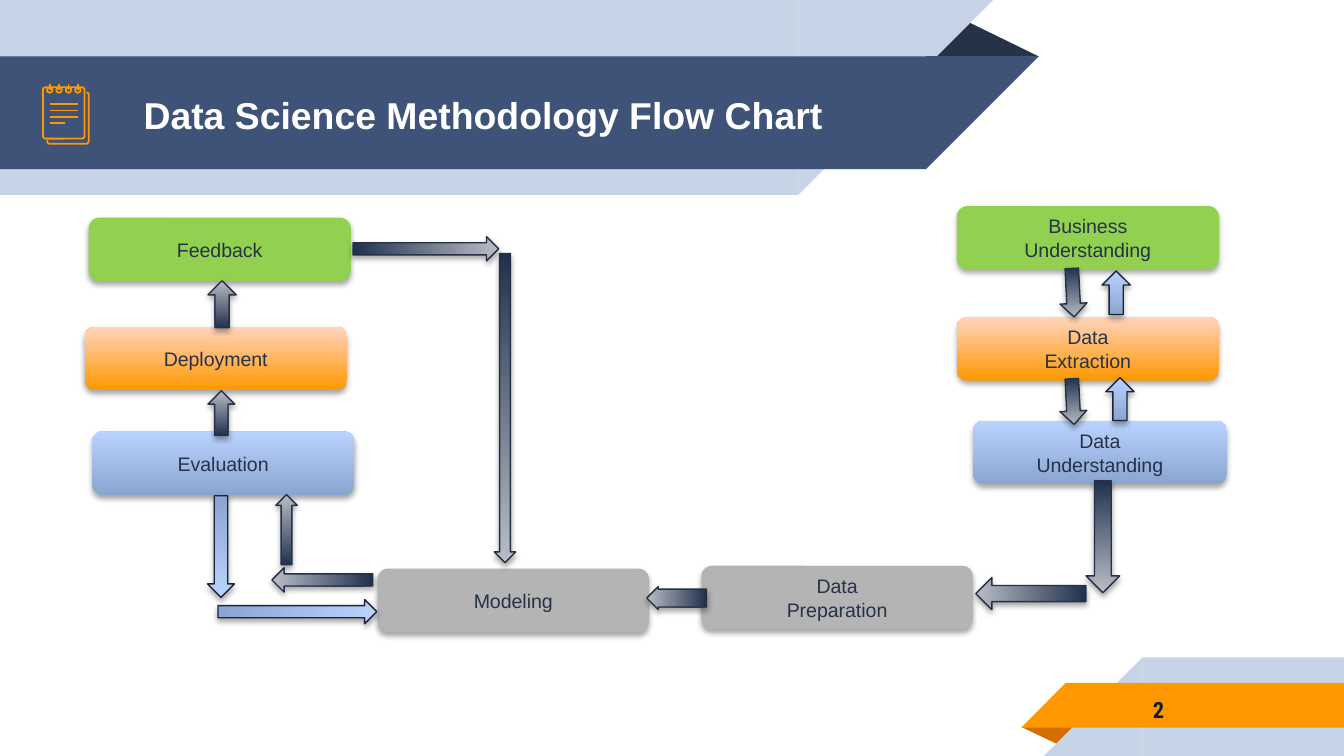
from lxml import etree
from pptx import Presentation
from pptx.dml.color import RGBColor
from pptx.enum import shapes as kinds, text as align
from pptx.oxml.ns import qn
from pptx.util import Pt

NAVY = RGBColor(0x26, 0x32, 0x48)
BAND = RGBColor(0x3F, 0x53, 0x78)
PALE = RGBColor(0xC7, 0xD3, 0xE6)
ORANGE = RGBColor(0xFF, 0x98, 0x00)
RUST = RGBColor(0xD2, 0x6F, 0x00)
PEACH = RGBColor(0xFF, 0xD4, 0xBD)
GREEN = RGBColor(0x92, 0xD0, 0x50)
GRAY = RGBColor(0xB4, 0xB4, 0xB4)
BLUE = RGBColor(0x8A, 0xA6, 0xD0)
SKY = RGBColor(0xB9, 0xD3, 0xFE)
DARK = RGBColor(0x21, 0x31, 0x4D)
SILVER = RGBColor(0xB9, 0xBD, 0xC5)
DARK_EDGE = RGBColor(0x24, 0x31, 0x47)
BLUE_EDGE = RGBColor(0x1D, 0x25, 0x36)
INK = RGBColor(0x13, 0x19, 0x24)
WHITE = RGBColor(0xFF, 0xFF, 0xFF)

SHAPE = kinds.MSO_SHAPE
TITLE = "Data Science Methodology Flow Chart"
PAGE_NUMBER = "2"

BANNER = [
    (SHAPE.ISOSCELES_TRIANGLE, 495.4, 10.1, 61.2, 20.2, NAVY, None),
    (SHAPE.RECTANGLE, 0, 0, 427.7, 104.4, PALE, None),
    (SHAPE.RIGHT_TRIANGLE, 427.7, 0, 104.4, 104.4, PALE, "flipV"),
    (SHAPE.RECTANGLE, 0, 30.2, 496.1, 60.5, BAND, None),
    (SHAPE.RIGHT_TRIANGLE, 496.1, 30.2, 60.5, 60.5, BAND, "flipV"),
    (SHAPE.ISOSCELES_TRIANGLE, 547.2, 389.5, 31, 10, RUST, "rot"),
    (SHAPE.RECTANGLE, 612, 352.2, 108, 52.8, PALE, None),
    (SHAPE.RIGHT_TRIANGLE, 559.2, 352.2, 52.8, 52.8, PALE, "flipH"),
    (SHAPE.RECTANGLE, 571, 365.8, 149, 24, ORANGE, None),
    (SHAPE.RIGHT_TRIANGLE, 547.2, 365.8, 23.8, 24, ORANGE, "flipH"),
]

STEP_HEIGHT = 34
STEPS = [
    (["Feedback"], 47.5, 116.6, 140.4, GREEN),
    (["Deployment"], 45.4, 175, 140.4, (ORANGE, PEACH)),
    (["Evaluation"], 49.4, 231.2, 140.4, (BLUE, SKY)),
    (["Business", "Understanding"], 512.6, 110.4, 140.4, GREEN),
    (["Data", "Extraction"], 512.6, 169.9, 140.4, (ORANGE, PEACH)),
    (["Data", "Understanding"], 521.3, 225.4, 136, (BLUE, SKY)),
    (["Modeling"], 202.3, 304.6, 145.4, GRAY),
    (["Data", "Preparation"], 375.8, 303.1, 145.4, GRAY),
]

FORWARD = ((DARK, SILVER), DARK_EDGE)
RETURN = ((BLUE, SKY), BLUE_EDGE)
ARROWS = [
    (111.4, 150.4, 15.1, 25.2, 0, FORWARD),
    (111.4, 209.3, 14.4, 24, 0, FORWARD),
    (264.8, 135.8, 11.5, 165.6, 180, FORWARD),
    (221.6, 94.3, 13, 78, 90, FORWARD),
    (590.4, 145.2, 15.1, 23.3, 0, RETURN),
    (567.6, 202.9, 14.4, 24.5, 177.2, FORWARD),
    (111.2, 265.6, 14.4, 54.4, 180, RETURN),
    (152.8, 285.2, 13, 85, 90, RETURN),
    (147.8, 265, 11.5, 37.6, 0, FORWARD),
    (166.2, 283.7, 13, 54, 270, FORWARD),
    (543.6, 288.5, 17.3, 59, 270, FORWARD),
    (581.8, 257.6, 18, 59.9, 180, FORWARD),
    (592.4, 202.3, 15.1, 23, 0, RETURN),
    (567.6, 143.8, 14.4, 26, 177.2, FORWARD),
    (356.4, 304.4, 12.2, 32, 270, FORWARD),
]
WIDE_SHAFT = len(ARROWS) - 1

BACK_PAGE = [(25.2, 75.2), (25.6, 76.6), (26.6, 77), (46.4, 77),
             (47.4, 76.4), (47.6, 75.4), (47.6, 50.6), (47.2, 49.8), (46.4, 49.6)]
RING_LEFT, RING_STEP, RING_SIZE = 25.2, 5.04, 2.9
NOTE_LEFT, NOTE_TOP, NOTE_STEP = 26.6, 55.9, 3.35
NOTE_ENDS = [41.8, 41.8, 41.8, 34.6]


def paint(shape, colour):
    if isinstance(colour, RGBColor):
        shape.fill.solid()
        shape.fill.fore_color.rgb = colour
    else:
        shape.fill.gradient()
        shape.fill.gradient_angle = 90
        for stop, shade in zip(shape.fill.gradient_stops, colour):
            stop.color.rgb = shade


def add_shape(slide, kind, left, top, width, height, colour=None):
    shape = slide.shapes.add_shape(kind, Pt(left), Pt(top), Pt(width), Pt(height))
    shape.shadow.inherit = False
    shape.line.fill.background()
    if colour is None:
        shape.fill.background()
    else:
        paint(shape, colour)
    return shape


def cast_shadow(shape):
    effects = shape._element.spPr.find(qn("a:effectLst"))
    shadow = etree.SubElement(effects, qn("a:outerShdw"), blurRad=str(int(Pt(3.1))),
                              dist=str(int(Pt(1.8))), dir="5400000", rotWithShape="0")
    black = etree.SubElement(shadow, qn("a:srgbClr"), val="000000")
    etree.SubElement(black, qn("a:alpha"), val="35000")


def outline(shape, colour=ORANGE, width=0.96):
    shape.line.color.rgb = colour
    shape.line.width = Pt(width)


def style(para, name, size, colour, bold=False):
    for span in para.runs:
        span.font.name = name
        span.font.size = Pt(size)
        span.font.bold = bold
        span.font.color.rgb = colour


def add_stroke(slide, *ends):
    stroke = slide.shapes.add_connector(kinds.MSO_CONNECTOR.STRAIGHT, *map(Pt, ends))
    outline(stroke)
    etree.SubElement(stroke._element.spPr, qn("a:effectLst"))


def add_notepad(slide):
    points = [(Pt(x), Pt(y)) for x, y in BACK_PAGE]
    builder = slide.shapes.build_freeform(*points[0])
    builder.add_line_segments(points[1:], close=False)
    back = builder.convert_to_shape()
    back.shadow.inherit = False
    back.fill.background()
    outline(back)
    front = add_shape(slide, SHAPE.ROUNDED_RECTANGLE, 23, 46.8, 22.3, 27.5)
    front.adjustments[0] = 0.06
    outline(front)
    for index, end in enumerate(NOTE_ENDS):
        left = RING_LEFT + index * RING_STEP
        outline(add_shape(slide, SHAPE.OVAL, left, 46.8, RING_SIZE, RING_SIZE))
        middle = left + RING_SIZE / 2
        add_stroke(slide, middle, 45.2, middle, 48.2)
        height = NOTE_TOP + index * NOTE_STEP
        add_stroke(slide, NOTE_LEFT, height, end, height)


def main():
    deck = Presentation()
    deck.slide_width, deck.slide_height = Pt(720), Pt(405)
    page = deck.slides.add_slide(deck.slide_layouts[5])
    title = page.shapes.title

    for kind, left, top, width, height, colour, turn in BANNER:
        part = add_shape(page, kind, left, top, width, height, colour)
        if kind == SHAPE.ISOSCELES_TRIANGLE:
            part.adjustments[0] = 0.324
        if turn == "rot":
            part.rotation = 180
        elif turn:
            part._element.spPr.xfrm.set(turn, "1")

    page.shapes._spTree.append(title._element)
    title.left, title.top, title.width, title.height = map(Pt, (64.1, 31, 414, 60.5))
    frame = title.text_frame
    frame.text = TITLE
    frame.word_wrap = True
    frame.auto_size = align.MSO_AUTO_SIZE.NONE
    frame.vertical_anchor = align.MSO_ANCHOR.MIDDLE
    frame.margin_left = Pt(12.8)
    frame.paragraphs[0].alignment = align.PP_ALIGN.LEFT
    style(frame.paragraphs[0], "Arial", 20, WHITE, True)

    number = page.shapes.add_textbox(Pt(583.2), Pt(367.9), Pt(47.5), Pt(24.5))
    frame = number.text_frame
    frame.text = PAGE_NUMBER
    frame.word_wrap = True
    frame.vertical_anchor = align.MSO_ANCHOR.MIDDLE
    frame.paragraphs[0].alignment = align.PP_ALIGN.RIGHT
    style(frame.paragraphs[0], "Roboto Condensed", 12, INK, True)

    add_notepad(page)

    for lines, left, top, width, colour in STEPS:
        box = add_shape(page, SHAPE.ROUNDED_RECTANGLE, left, top, width, STEP_HEIGHT, colour)
        cast_shadow(box)
        box.text_frame.text = "\n".join(lines)
        box.text_frame.vertical_anchor = align.MSO_ANCHOR.MIDDLE
        for para in box.text_frame.paragraphs:
            para.alignment = align.PP_ALIGN.CENTER
            style(para, "Arial", 10.5, NAVY)

    for index, (left, top, width, height, turn, (colours, edge)) in enumerate(ARROWS):
        arrow = add_shape(page, SHAPE.UP_ARROW, left, top, width, height, colours)
        arrow.rotation = turn
        outline(arrow, edge, 0.75)
        cast_shadow(arrow)
        if index == WIDE_SHAFT:
            arrow.adjustments[0] = 0.79

    deck.save("out.pptx")


if __name__ == "__main__":
    main()
